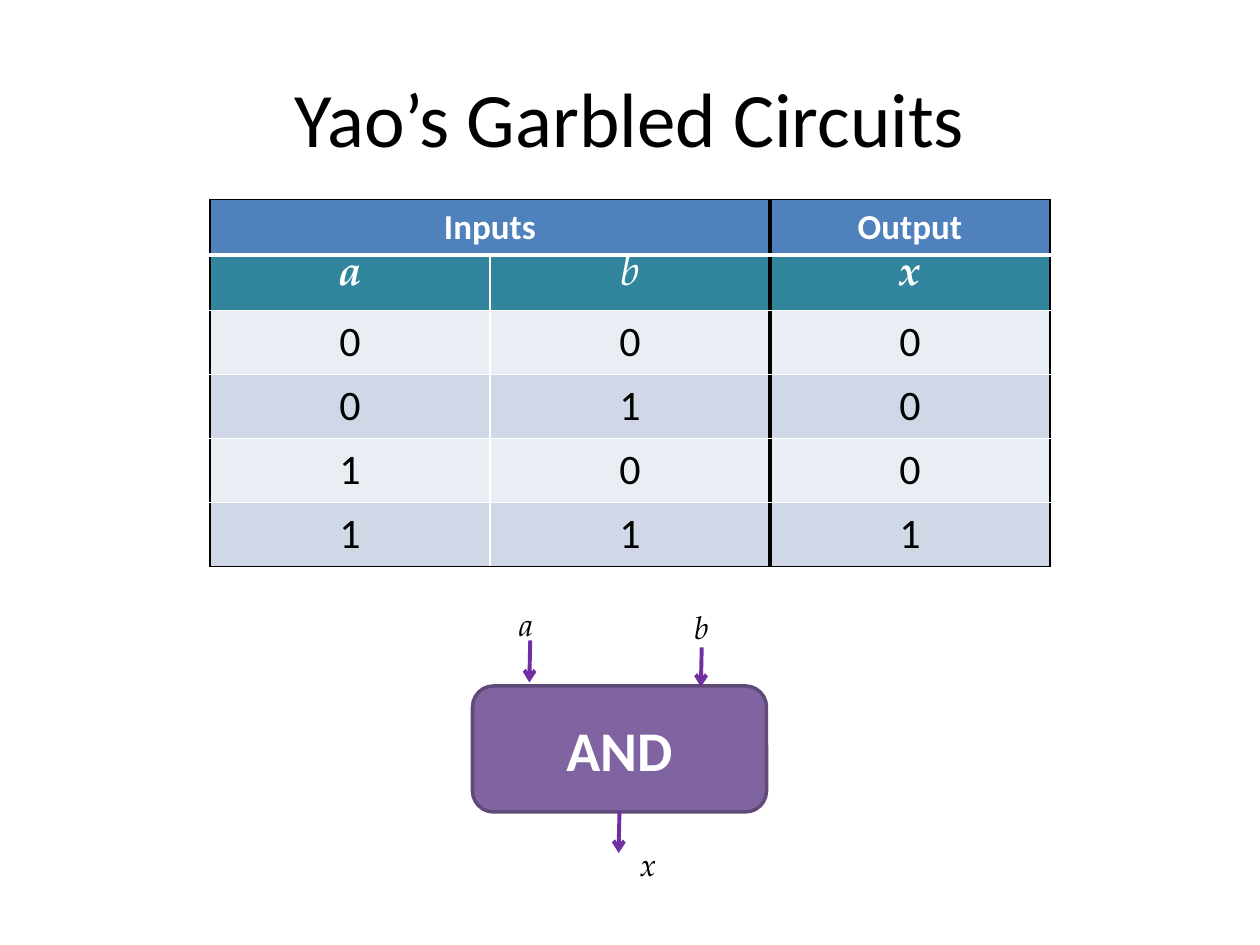
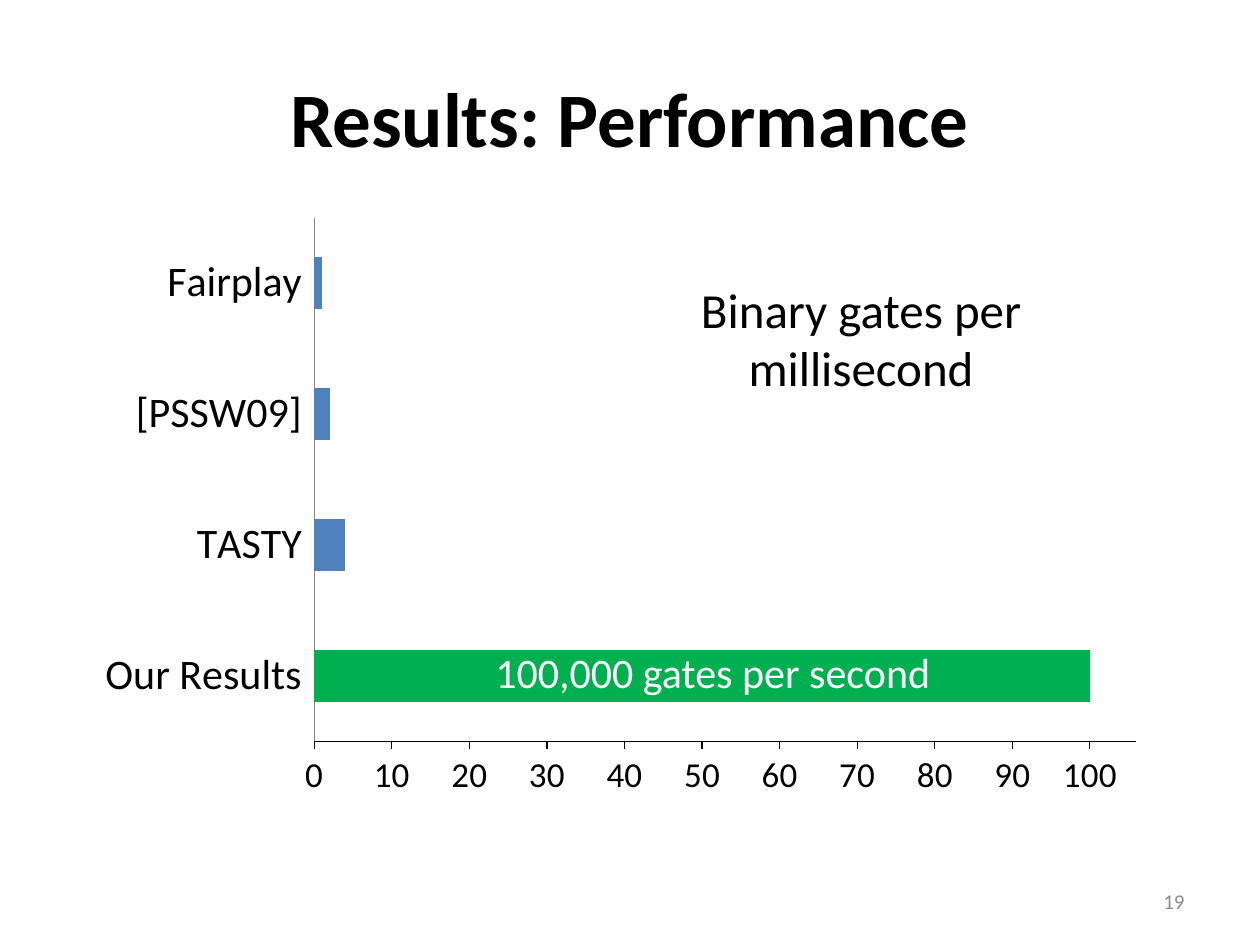
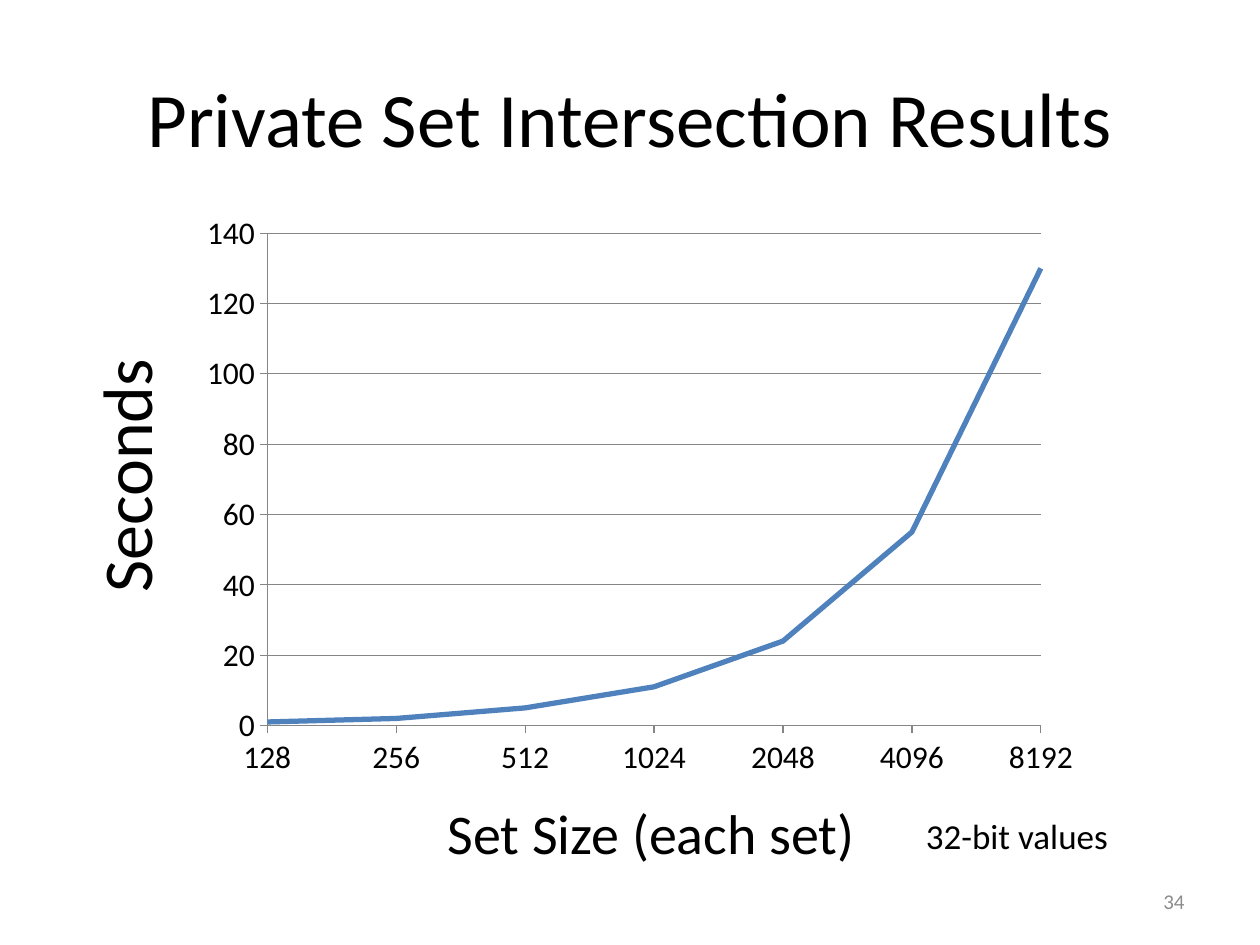
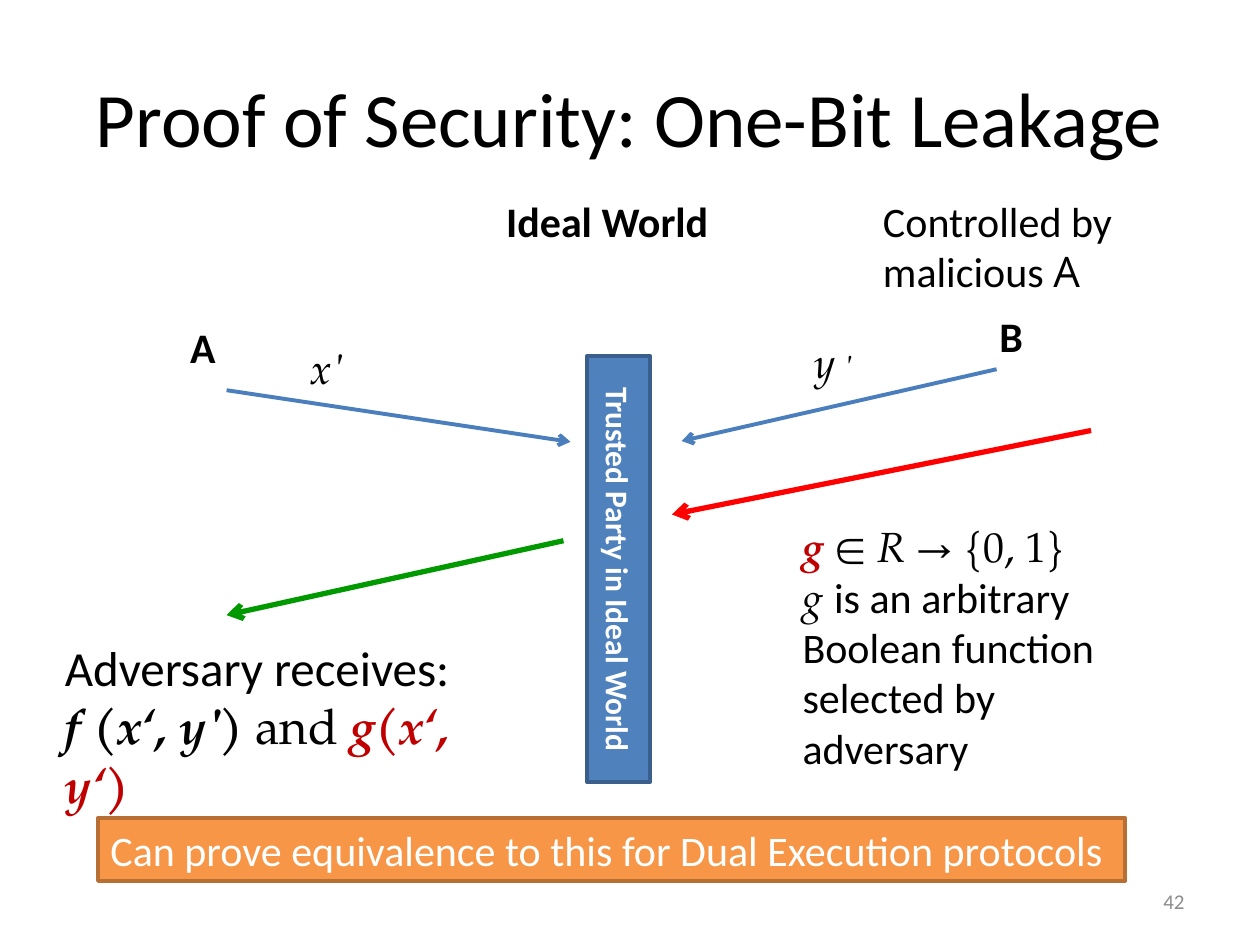
from lxml import etree
from pptx import Presentation, util as u
from pptx.chart import data as chart_data
from pptx.dml.color import RGBColor
from pptx.enum import chart as ch, shapes, text as tx
from pptx.oxml.ns import qn

Pt = u.Pt
COLORS = {
    "black": "000000", "white": "FFFFFF", "gray": "8C8C8C", "axis": "868686",
    "blue": "4F81BD", "blue edge": "3A5F8C", "blue line": "4B7EBC",
    "teal": "31859C", "light row": "E9EDF4", "dark row": "D0D8E8",
    "purple": "8064A2", "purple edge": "5F4A78", "violet": "7030A0",
    "orange": "F79646", "orange edge": "B76F34", "bar green": "00B050",
    "green": "009900", "red": "FF0000", "dark red": "C00000",
}
RGB = {name: RGBColor.from_string(value) for name, value in COLORS.items()}
BODY, MATH = "Calibri", "TeX Gyre Pagella"
ALIGN = tx.PP_ALIGN


def write(holder, text, align=ALIGN.LEFT, wrap=None, **format):
    """Fill a shape or cell; text is a string or paragraphs of (text, format) spans."""
    frame = holder.text_frame
    if wrap is not None:
        frame.word_wrap = wrap
        frame.auto_size = tx.MSO_AUTO_SIZE.SHAPE_TO_FIT_TEXT
    paragraphs = [[(text, {})]] if isinstance(text, str) else text
    for index, spans in enumerate(paragraphs):
        para = frame.add_paragraph() if index else frame.paragraphs[0]
        para.alignment = align
        for words, changes in spans:
            style = {"size": 24, "font": BODY, "color": "black", **format, **changes}
            span = para.add_run()
            span.text = words
            span.font.name = style["font"]
            span.font.size = Pt(style["size"])
            span.font.bold = style.get("bold", False)
            span.font.italic = style.get("italic", False)
            span.font.color.rgb = RGB[style["color"]]


def draw_arrow(page, ends, color, width):
    """Draw a line with an open arrowhead at its end."""
    arrow = page.shapes.add_connector(shapes.MSO_CONNECTOR.STRAIGHT, *map(Pt, ends))
    arrow.line.color.rgb = RGB[color]
    arrow.line.width = Pt(width)
    outline = next(arrow.element.iter(qn("a:ln")))
    etree.SubElement(outline, qn("a:tailEnd"), type="arrow")
    etree.SubElement(arrow.element.spPr, qn("a:effectLst"))


deck = Presentation()
deck.slide_width, deck.slide_height = Pt(720), Pt(540)

# Pages with their titles and numbers
pages = []
for title, bold, number in [
    ("Yao’s Garbled Circuits", False, None),
    ("Results: Performance", True, "19"),
    ("Private Set Intersection Results", False, "34"),
    ("Proof of Security: One-Bit Leakage", False, "42"),
]:
    page = deck.slides.add_slide(deck.slide_layouts[5])
    heading = page.shapes.title
    heading.left, heading.top, heading.width, heading.height = map(Pt, (36, 21.6, 648, 90))
    heading.text_frame.vertical_anchor = tx.MSO_ANCHOR.MIDDLE
    write(heading, title, align=ALIGN.CENTER, size=44, bold=bold)
    if number:
        box = page.shapes.add_textbox(*map(Pt, (516, 500.5, 168, 29)))
        box.text_frame.vertical_anchor = tx.MSO_ANCHOR.MIDDLE
        write(box, number, align=ALIGN.RIGHT, wrap=True, size=12, color="gray")
    pages.append(page)
circuit_page, speed_page, set_page, proof_page = pages

# Truth table
rows = [("Inputs", "", "Output"), ("a", "b", "x")]
rows += [(str(a), str(b), str(a & b)) for a in (0, 1) for b in (0, 1)]
heights = [31.6, 31.6] + [36.6] * 4
fills = ["blue", "teal"] + ["light row", "dark row"] * 2
verticals = [("black", 1), ("white", 1), ("black", 3), ("black", 1)]
horizontals = [("black", 1), ("white", 3)] + [("white", 1)] * 4 + [("black", 1)]
table = circuit_page.shapes.add_table(
    6, 3, *map(Pt, (120, 114, 480, sum(heights)))).table
table.first_row = table.horz_banding = False
table.cell(0, 0).merge(table.cell(0, 1))
for r, row in enumerate(rows):
    table.rows[r].height = Pt(heights[r])
    for c, value in enumerate(row):
        cell = table.cell(r, c)
        if cell.is_spanned:
            continue
        last = c + (cell.span_width if cell.is_merge_origin else 1)
        edges = {"L": verticals[c], "R": verticals[last],
                 "T": horizontals[r], "B": horizontals[r + 1]}
        properties = cell._tc.get_or_add_tcPr()
        for side, (color, width) in edges.items():
            edge = etree.SubElement(properties, qn("a:ln" + side), w=str(Pt(width)))
            paint = etree.SubElement(edge, qn("a:solidFill"))
            etree.SubElement(paint, qn("a:srgbClr"), val=COLORS[color])
        cell.fill.solid()
        cell.fill.fore_color.rgb = RGB[fills[r]]
        style = {}
        if r < 2:
            style = {"color": "white", "bold": value != "b"}
        if r == 0:
            style["size"] = 20
        if r == 1:
            style.update(font=MATH, italic=True)
            cell.margin_top = cell.margin_bottom = 0
        write(cell, value, align=ALIGN.CENTER, **style)

# Filled shapes: the gate, the trusted party and the banner
blocks = []
for page, kind, place, fill, words, style in [
    (circuit_page, "ROUNDED_RECTANGLE", (270, 392, 168, 72), "purple", "AND",
     {"size": 32, "bold": True, "align": ALIGN.CENTER}),
    (proof_page, "RECTANGLE", (335.5, 203.5, 36, 243.5), "blue",
     "Trusted Party in Ideal World", {"size": 18, "bold": True, "align": ALIGN.CENTER}),
    (proof_page, "RECTANGLE", (56, 467.5, 587, 36), "orange",
     "Can prove equivalence to this for Dual Execution protocols", {"wrap": True}),
]:
    block = page.shapes.add_shape(shapes.MSO_SHAPE[kind], *map(Pt, place))
    block.shadow.inherit = False
    block.fill.solid()
    block.fill.fore_color.rgb = RGB[fill]
    block.line.color.rgb = RGB[fill + " edge"]
    block.line.width = Pt(2)
    write(block, words, color="white", **style)
    blocks.append(block)
next(blocks[1].element.iter(qn("a:bodyPr"))).set("vert", "vert")

# Arrows
for ends in [(303, 366, 302.5, 390), (401, 370, 400.5, 392.5), (354, 463.5, 353.5, 487.5)]:
    draw_arrow(circuit_page, ends, "violet", 2.25)
for ends, color, width in [
    ((569.5, 211, 389.5, 252), "blue line", 2.25),
    ((129.5, 223, 326, 252.5), "blue line", 2.25),
    ((623.5, 246, 384, 294), "red", 3),
    ((322, 309, 129.5, 351.5), "green", 3),
]:
    draw_arrow(proof_page, ends, color, width)

# Charts: what both share
charts = []
for page, kind, place, plot_area, categories, values in [
    (speed_page, "BAR_CLUSTERED", (48, 114, 626.5, 348), (0.21, 0.03, 0.75, 0.86),
     ["Our Results", "TASTY", "[PSSW09]", "Fairplay"], [100, 4, 2, 1]),
    (set_page, "LINE", (106.5, 116.5, 514, 335), (0.09, 0.05, 0.86, 0.84),
     [str(2 ** power) for power in range(7, 14)], [1, 2, 5, 11, 24, 55, 130]),
]:
    data = chart_data.CategoryChartData()
    data.categories = categories
    data.add_series("Series 1", values)
    chart = page.shapes.add_chart(ch.XL_CHART_TYPE[kind], *map(Pt, place), data).chart
    chart.has_legend = chart.has_title = False
    chart.font.name = BODY
    chart.font.size = Pt(18)
    chart.font.color.rgb = RGB["black"]
    chart.plots[0].vary_by_categories = False
    for axis in (chart.category_axis, chart.value_axis):
        axis.major_tick_mark = ch.XL_TICK_MARK.OUTSIDE
        axis.minor_tick_mark = ch.XL_TICK_MARK.NONE
        axis.has_major_gridlines = False
        axis.format.line.color.rgb = RGB["axis"]
        axis.format.line.width = Pt(0.75)
    area = next(chart.element.iter(qn("c:plotArea")))
    for old_layout in area.findall(qn("c:layout")):
        area.remove(old_layout)
    layout = etree.Element(qn("c:layout"))
    manual = etree.SubElement(layout, qn("c:manualLayout"))
    settings = [("layoutTarget", "inner"), ("xMode", "edge"), ("yMode", "edge")]
    for tag, value in settings + list(zip("xywh", plot_area)):
        etree.SubElement(manual, qn("c:" + tag), val=str(value))
    area.insert(0, layout)
    charts.append(chart)
speed_chart, set_chart = charts

# Bars of gate speed
plot = speed_chart.plots[0]
plot.gap_width = 150
bars = plot.series[0]
for part, color in [(bars, "blue"), (bars.points[0], "bar green")]:
    part.format.fill.solid()
    part.format.fill.fore_color.rgb = RGB[color]
names = speed_chart.category_axis
names.major_tick_mark = ch.XL_TICK_MARK.NONE
names.tick_label_position = ch.XL_TICK_LABEL_POSITION.LOW
names.tick_labels.font.size = Pt(24)
scale = speed_chart.value_axis
scale.minimum_scale, scale.maximum_scale, scale.major_unit = 0, 106, 10
scale.tick_labels.font.size = Pt(20)
scale.format.line.color.rgb = RGB["black"]

# Line of seconds by set size, starting on the value axis
curve = set_chart.plots[0].series[0]
curve.smooth = False
curve.format.line.color.rgb = RGB["blue"]
curve.format.line.width = Pt(3)
seconds = set_chart.value_axis
seconds.has_major_gridlines = True
seconds.major_gridlines.format.line.color.rgb = RGB["axis"]
value_axis = next(set_chart.element.iter(qn("c:valAx")))
crossing = [part for part in value_axis if part.tag in (qn("c:crossAx"), qn("c:crosses"))]
crossing[-1].addnext(etree.Element(qn("c:crossBetween"), val="midCat"))

# Labels
symbol = {"font": MATH, "italic": True}
wire = {**symbol, "size": 18}
upright = {"font": MATH}
strong = {**symbol, "bold": True}
secret = {**strong, "color": "dark red"}
controlled = [[("Controlled by", {})], [("malicious ", {}), ("A", {"font": "Open Sans"})]]
function = [
    [("g ", secret), ("∈ ", upright), ("R", symbol), (" → {0, 1}", upright)],
    [("g ", symbol), ("is an arbitrary Boolean function selected by adversary", {})],
]
received = [
    [("Adversary receives:", {})],
    [("f (x‘, y'", strong), (") ", {**strong, "italic": False}), ("and ", upright),
     ("g(x‘, y‘", secret), (")", {**secret, "italic": False})],
]
for page, place, words, wrap, style in [
    (circuit_page, (290, 342, 22.5, 29), "a", False, wire),
    (circuit_page, (390, 344, 23, 29), "b", False, wire),
    (circuit_page, (359, 479.5, 24, 29), "x", False, wire),
    (speed_page, (378, 156, 228, 75), "Binary gates per millisecond", True,
     {"size": 28, "align": ALIGN.CENTER}),
    (speed_page, (276, 366, 265, 36), "100,000 gates per second", False, {"color": "white"}),
    (set_page, (-3, 243.5, 149, 55.5), "Seconds", False, {"size": 40}),
    (set_page, (248.5, 453, 250, 46), "Set Size (each set)", False, {"size": 32}),
    (set_page, (522, 462, 119.5, 31.5), "32-bit values", False, {"size": 20}),
    (proof_page, (101.5, 180, 29.5, 36), "A", False, {"bold": True}),
    (proof_page, (564, 174, 28, 36), "B", False, {"bold": True}),
    (proof_page, (233, 108, 228, 36), "Ideal World", True,
     {"bold": True, "align": ALIGN.CENTER}),
    (proof_page, (458.5, 188.5, 37.5, 36), [[("y", {}), (" '", {"size": 18})]], False, symbol),
    (proof_page, (170.5, 192, 39, 36), "x'", True, symbol),
    (proof_page, (497.5, 108, 147, 65.5), controlled, False, {}),
    (proof_page, (451.5, 294, 184.5, 181.5), function, True, {}),
    (proof_page, (30, 360.5, 268.5, 75), received, True, {"size": 28}),
]:
    box = page.shapes.add_textbox(*map(Pt, place))
    write(box, words, wrap=wrap, **style)
    if words == "Seconds":
        box.rotation = 270

deck.save("out.pptx")
